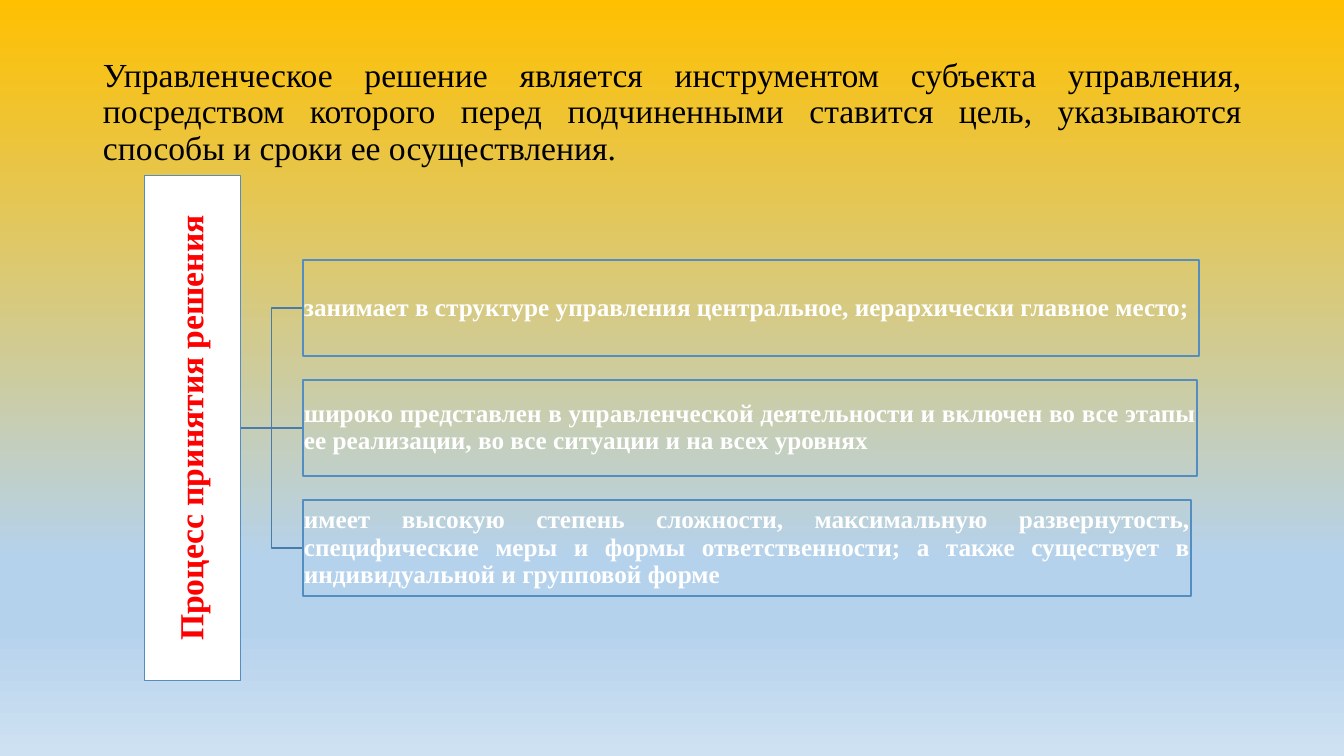
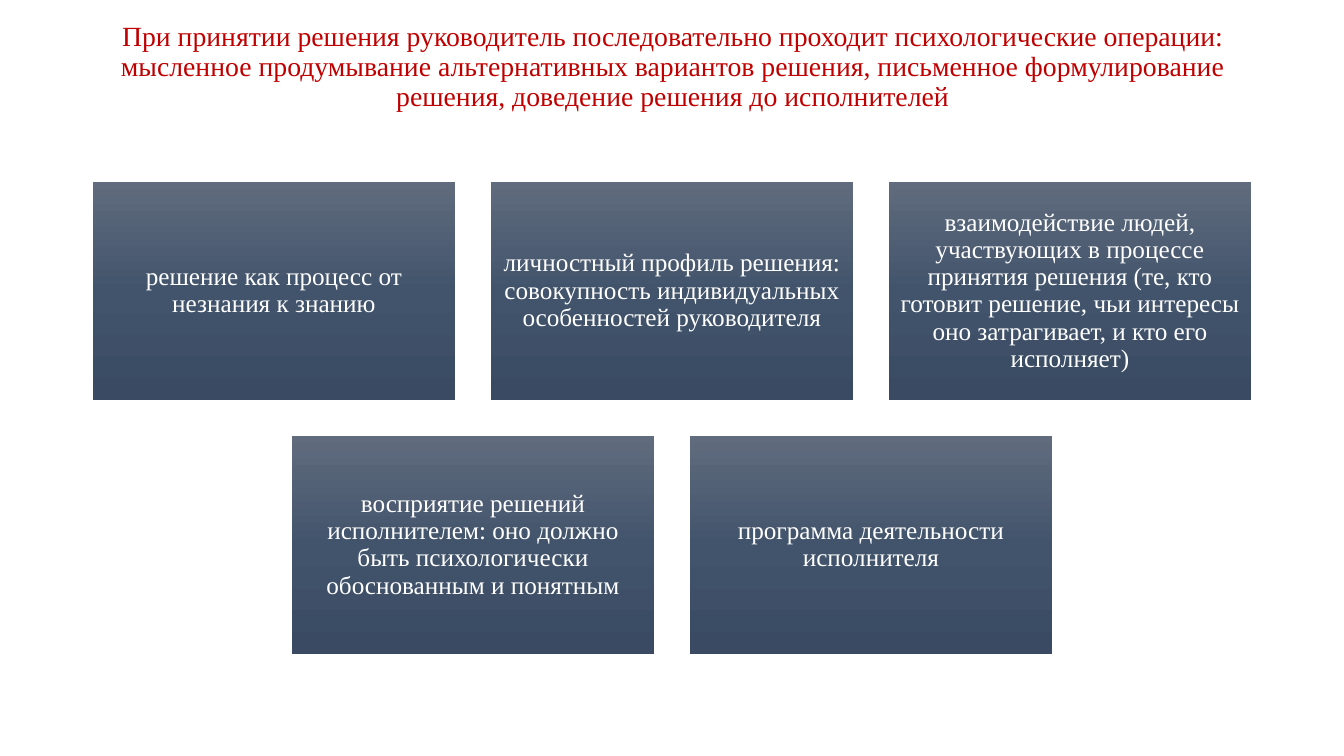
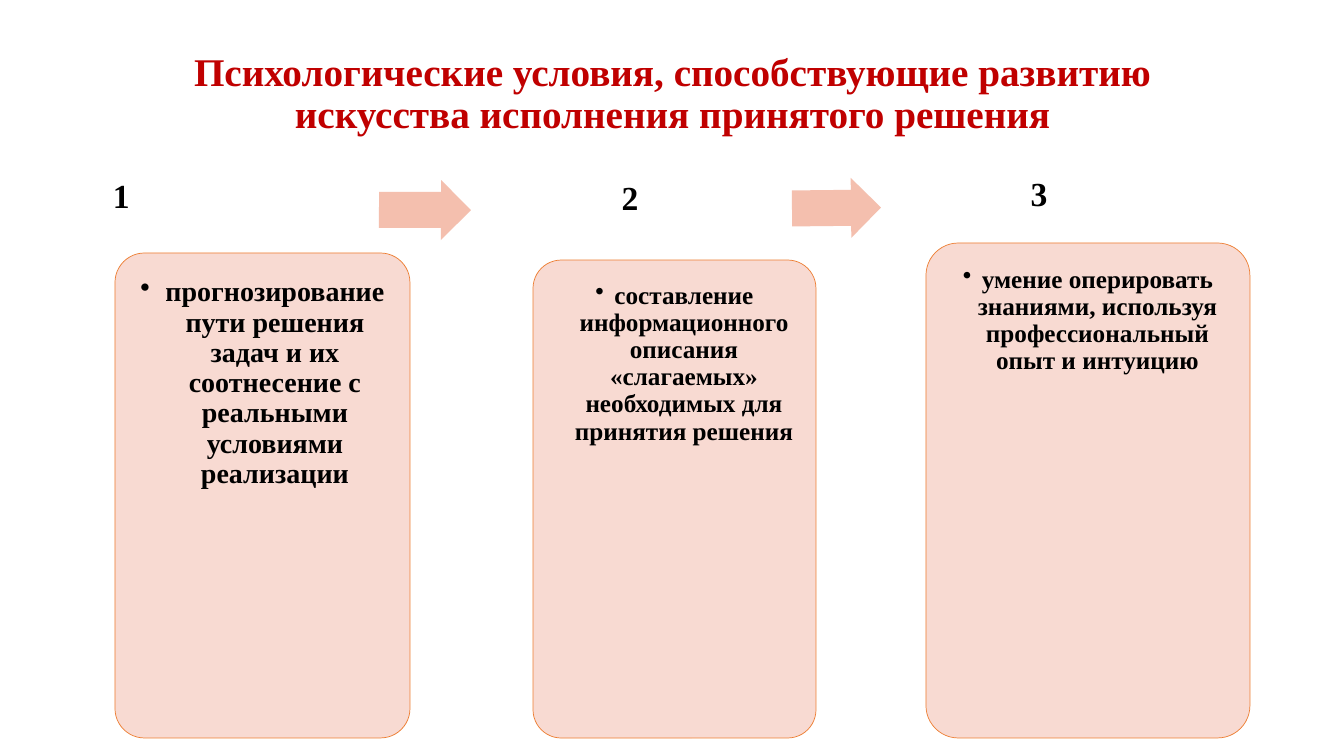
from lxml.etree import SubElement
from pptx import Presentation
from pptx.dml.color import RGBColor
from pptx.enum.shapes import MSO_CONNECTOR, MSO_SHAPE
from pptx.enum.text import MSO_ANCHOR, MSO_AUTO_SIZE, PP_ALIGN
from pptx.oxml.ns import qn
from pptx.util import Emu, Pt

PIXELS_PER_INCH = 100.8
PAGE_WIDTH, PAGE_HEIGHT = 1344, 756
TITLE_ONLY = 5


def px(value):
    return Emu(round(value * 914400 / PIXELS_PER_INCH))


def colour(code):
    return RGBColor.from_string(code)


class Slides:
    font = "Times New Roman"
    black, white, red, crimson = "000000", "FFFFFF", "FF0000", "C00000"
    frame_line, link_line = "538DC1", "497CAB"
    card_fill, card_line, arrow_fill = "F8D7CE", "ED7D31", "F4BFAE"
    sky = [(0, "FFC000"), (74, "B5D2EC"), (83, "B5D2EC"), (100, "CEE1F2")]
    slate = [(0, "606B7D"), (50, "42546C"), (100, "394A62")]

    def __init__(self):
        self.deck = Presentation()
        self.deck.slide_width = px(PAGE_WIDTH)
        self.deck.slide_height = px(PAGE_HEIGHT)

    def new_page(self, background=None):
        layout = self.deck.slide_layouts[TITLE_ONLY]
        self.page = self.deck.slides.add_slide(layout)
        fill = self.page.background.fill
        if background:
            self.gradient(self.page, fill, background)
        else:
            fill.solid()
            fill.fore_color.rgb = colour(self.white)

    def gradient(self, owner, fill, stops):
        """Fill from top to bottom with (percent, colour) stops."""
        fill.gradient()
        fill.gradient_angle = 270
        stop_list = next(owner.element.iter(qn("a:gsLst")))
        for old_stop in list(stop_list):
            stop_list.remove(old_stop)
        for percent, code in stops:
            stop = SubElement(stop_list, qn("a:gs"), pos=str(percent * 1000))
            SubElement(stop, qn("a:srgbClr"), val=code)

    def set_text(self, box, text, size, code, bold=False,
                 align=PP_ALIGN.CENTER, anchor=MSO_ANCHOR.MIDDLE,
                 insets=(10, 5, 10, 5)):
        frame = box.text_frame
        frame.text = text
        frame.word_wrap = True
        frame.auto_size = MSO_AUTO_SIZE.NONE
        frame.vertical_anchor = anchor
        (frame.margin_left, frame.margin_top,
         frame.margin_right, frame.margin_bottom) = map(px, insets)
        para = frame.paragraphs[0]
        para.alignment = align
        para.line_spacing = 0.9
        for span in para.runs:
            span.font.name = self.font
            span.font.size = Pt(size)
            span.font.bold = bold
            span.font.color.rgb = colour(code)

    def title(self, text, top, height, size, code, **style):
        box = self.page.shapes.title
        box.left, box.top = px(93), px(top)
        box.width, box.height = px(1159), px(height)
        self.set_text(box, text, size, code, **style)

    def label(self, text, left, top, width, height, size, **style):
        box = self.page.shapes.add_textbox(
            px(left), px(top), px(width), px(height))
        self.set_text(box, text, size, self.black, **style)

    def shape(self, kind, left, top, width, height, fill=None, line=None,
              line_width=1, rotation=0, adjustments=()):
        box = self.page.shapes.add_shape(
            kind, px(left), px(top), px(width), px(height))
        box.shadow.inherit = False
        box.rotation = rotation
        for index, value in enumerate(adjustments):
            box.adjustments[index] = value
        if isinstance(fill, list):
            self.gradient(box, box.fill, fill)
        elif fill:
            box.fill.solid()
            box.fill.fore_color.rgb = colour(fill)
        else:
            box.fill.background()
        if line:
            box.line.color.rgb = colour(line)
            box.line.width = Pt(line_width)
        else:
            box.line.fill.background()
        return box

    def link(self, start, end):
        kind = (MSO_CONNECTOR.STRAIGHT if start[1] == end[1]
                else MSO_CONNECTOR.ELBOW)
        link = self.page.shapes.add_connector(kind, *map(px, start + end))
        link.line.color.rgb = colour(self.link_line)
        link.line.width = Pt(1)
        SubElement(link.element.spPr, qn("a:effectLst"))

    def card(self, text, left, top, width, height, size, inset, indent):
        """Rounded, slightly transparent card with one bulleted paragraph."""
        box = self.shape(MSO_SHAPE.ROUNDED_RECTANGLE, left, top, width, height,
                         self.card_fill, self.card_line, 0.5,
                         adjustments=(0.1,))
        fill_colour = next(box.element.spPr.iter(qn("a:srgbClr")))
        SubElement(fill_colour, qn("a:alpha"), val="90000")
        self.set_text(box, text, size, self.black, bold=True,
                      anchor=MSO_ANCHOR.TOP, insets=(inset,) * 4)
        properties = box.text_frame.paragraphs[0]._p.get_or_add_pPr()
        properties.set("marL", str(px(indent)))
        properties.set("indent", str(-px(indent)))
        SubElement(properties, qn("a:buChar"), char="•")


slides = Slides()

# Slide 1: one process and its three features
slides.new_page(slides.sky)
slides.title("Управленческое решение является инструментом субъекта управления, "
             "посредством которого перед подчиненными ставится цель, "
             "указываются способы и сроки ее осуществления.",
             40, 146, 24, slides.black, align=PP_ALIGN.JUSTIFY)

FEATURE_LEFT, FEATURE_TOP, FEATURE_HEIGHT, FEATURE_STEP = 303, 260, 96, 120
features = [
    (896, "занимает в структуре управления центральное, иерархически главное "
          "место;"),
    (894, "широко представлен в управленческой деятельности и включен во все "
          "этапы ее реализации, во все ситуации и на всех уровнях"),
    (888, "имеет высокую степень сложности, максимальную развернутость, "
          "специфические меры и формы ответственности; а также существует в "
          "индивидуальной и групповой форме"),
]
process_middle = FEATURE_TOP + FEATURE_STEP + FEATURE_HEIGHT // 2
for row, (width, text) in enumerate(features):
    top = FEATURE_TOP + row * FEATURE_STEP
    slides.link((240, process_middle),
                (FEATURE_LEFT, top + FEATURE_HEIGHT // 2))
    feature = slides.shape(MSO_SHAPE.RECTANGLE, FEATURE_LEFT, top, width,
                           FEATURE_HEIGHT, line=slides.frame_line)
    slides.set_text(feature, text, 18, slides.white, bold=True,
                    align=PP_ALIGN.JUSTIFY, insets=(1,) * 4)
process = slides.shape(MSO_SHAPE.RECTANGLE, -60, process_middle - 48, 505, 96,
                       slides.white, slides.frame_line, rotation=270)
slides.set_text(process, "Процесс принятия решения", 24, slides.red, bold=True,
                insets=(2,) * 4)

# Slide 2: centred rows of operations
slides.new_page()
slides.title("При принятии решения руководитель последовательно проходит "
             "психологические операции: мысленное продумывание альтернативных "
             "вариантов решения, письменное формулирование решения, доведение "
             "решения до исполнителей", 7, 121, 19.8, slides.crimson)

TILE_WIDTH, TILE_HEIGHT, TILE_GAP, TILES_TOP = 362, 218, 36, 182
tile_rows = [
    ["решение как процесс от незнания к знанию",
     "личностный профиль решения: совокупность индивидуальных особенностей "
     "руководителя",
     "взаимодействие людей, участвующих в процессе принятия решения (те, кто "
     "готовит решение, чьи интересы оно затрагивает, и кто его исполняет)"],
    ["восприятие решений исполнителем: оно должно быть психологически "
     "обоснованным и понятным",
     "программа деятельности исполнителя"],
]
for row, texts in enumerate(tile_rows):
    row_width = len(texts) * (TILE_WIDTH + TILE_GAP) - TILE_GAP
    row_left = (PAGE_WIDTH - row_width) // 2
    for column, text in enumerate(texts):
        tile = slides.shape(MSO_SHAPE.RECTANGLE,
                            row_left + column * (TILE_WIDTH + TILE_GAP),
                            TILES_TOP + row * (TILE_HEIGHT + TILE_GAP),
                            TILE_WIDTH, TILE_HEIGHT, slides.slate)
        slides.set_text(tile, text, 18, slides.white, insets=(7,) * 4)

# Slide 3: three numbered conditions
slides.new_page()
slides.title("Психологические условия, способствующие развитию искусства "
             "исполнения принятого решения", 40, 110, 28, slides.crimson,
             bold=True)

CARDS_BOTTOM = 738
numbers = [(94, 160, PP_ALIGN.LEFT), (509, 162, PP_ALIGN.CENTER),
           (918, 158, PP_ALIGN.CENTER)]
cards = [
    (115, 253, 295, 20, 16, 25,
     "прогнозирование пути решения задач и их соотнесение с реальными "
     "условиями реализации"),
    (533, 260, 283, 18, 14, 19,
     "составление информационного описания «слагаемых» необходимых для "
     "принятия решения"),
    (926, 243, 324, 18, 14, 19,
     "умение оперировать знаниями, используя профессиональный опыт и "
     "интуицию"),
]
for number, (left, top, align) in enumerate(numbers, start=1):
    slides.label(str(number), left, top, 242, 97, 24, bold=True, align=align,
                 anchor=MSO_ANCHOR.TOP, insets=(19, 19, 19, 10))
for left, top, width, size, inset, indent, text in cards:
    slides.card(text, left, top, width, CARDS_BOTTOM - top, size, inset, indent)

# Arrows between the numbers
for left, top, width, rotation in [(379, 180, 92, 0.2), (792, 178, 89, 359.4)]:
    slides.shape(MSO_SHAPE.RIGHT_ARROW, left, top, width, 60,
                 slides.arrow_fill, rotation=rotation, adjustments=(0.6, 0.5))

slides.deck.save("out.pptx")
